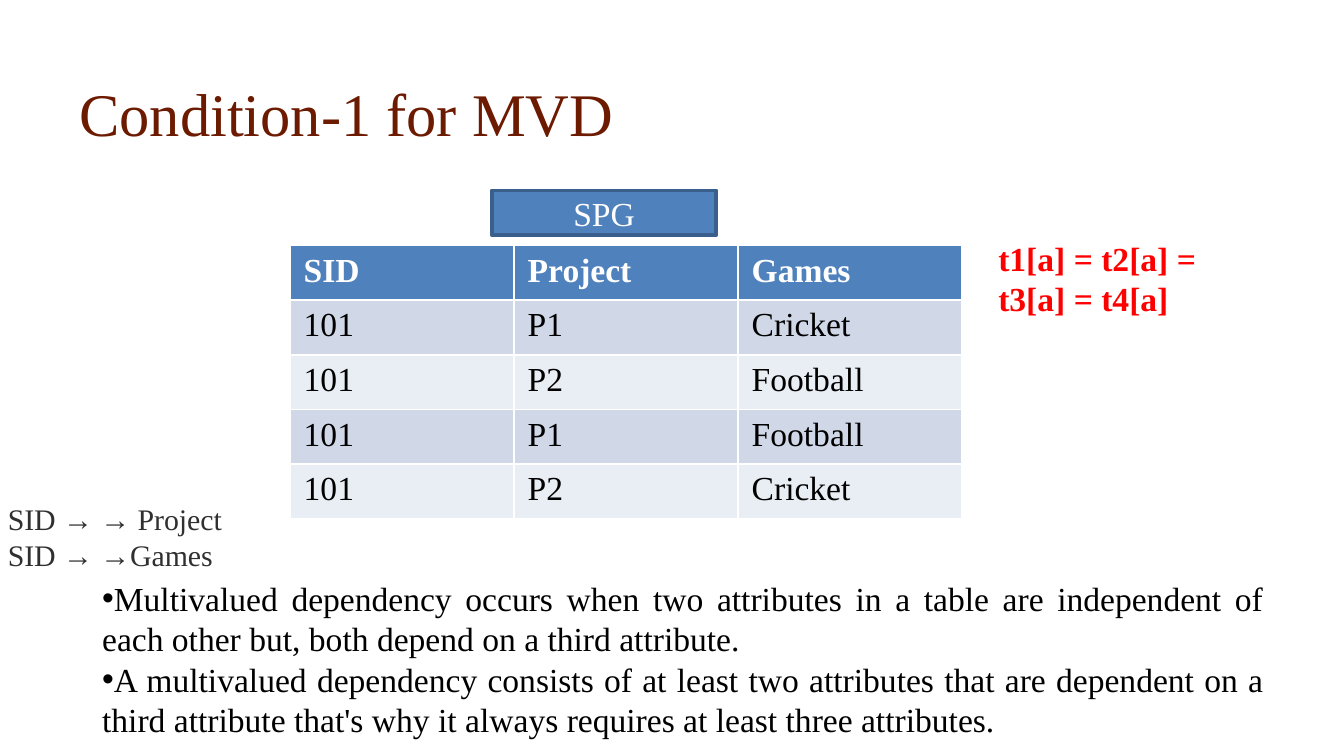
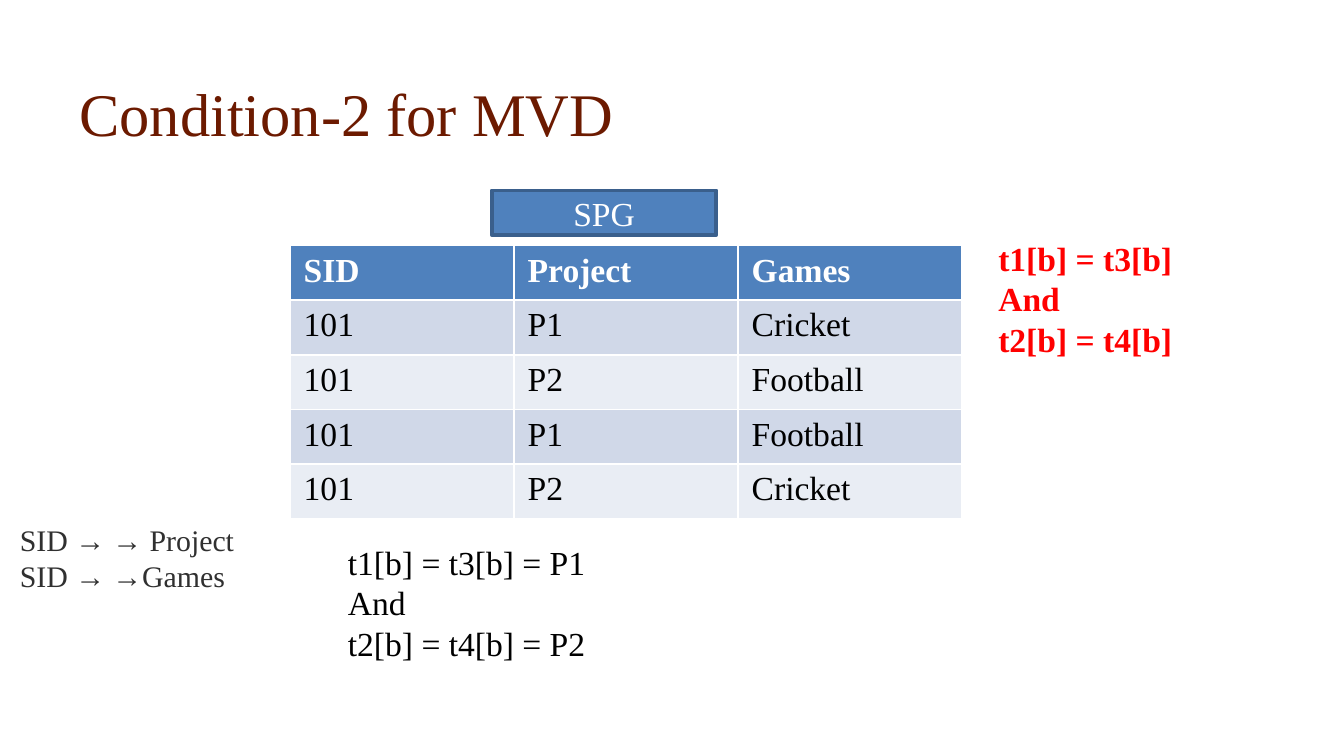
import pptx
import pptx.dml.color
import pptx.enum.shapes
import pptx.enum.text
import pptx.util

RGBColor = pptx.dml.color.RGBColor
ALIGN = pptx.enum.text.PP_ALIGN
ANCHOR = pptx.enum.text.MSO_ANCHOR
AUTO_SIZE = pptx.enum.text.MSO_AUTO_SIZE

# Shared look
FONT = "Times New Roman"
BROWN = RGBColor(0x6C, 0x1A, 0x00)
BLUE = RGBColor(0x4F, 0x81, 0xBD)
DARK_BLUE = RGBColor(0x3A, 0x5F, 0x8C)
BANDS = (RGBColor(0xD0, 0xD8, 0xE8), RGBColor(0xE9, 0xED, 0xF4))
RED = RGBColor(0xFF, 0x00, 0x00)
GREY = RGBColor(0x30, 0x30, 0x30)
BLACK = RGBColor(0x00, 0x00, 0x00)
WHITE = RGBColor(0xFF, 0xFF, 0xFF)

# Grid of 100 columns and 100 rows over a 16:9 slide
WIDTH = pptx.util.Inches(10)
HEIGHT = WIDTH * 9 // 16
COLUMN = WIDTH / 100
ROW = HEIGHT / 100

TITLE_LAYOUT, LIST_LAYOUT = 5, 1

SPG_ROWS = [
    ("SID", "Project", "Games"),
    ("101", "P1", "Cricket"),
    ("101", "P2", "Football"),
    ("101", "P1", "Football"),
    ("101", "P2", "Cricket"),
]
DEPENDENCIES = ["SID → → Project", "SID → →Games"]
MVD_NOTES = [
    "Multivalued dependency occurs when two attributes in a table are "
    "independent of each other but, both depend on a third attribute.",
    "A multivalued dependency consists of at least two attributes that are "
    "dependent on a third attribute that's why it always requires at least "
    "three attributes.",
]


def area(left, top, width, height):
    """Turn grid columns and rows into slide lengths."""
    return (int(left * COLUMN), int(top * ROW),
            int(width * COLUMN), int(height * ROW))


def move(placeholder, *cells):
    (placeholder.left, placeholder.top,
     placeholder.width, placeholder.height) = area(*cells)


def write(frame, lines, size, color, bold=False, align=ALIGN.LEFT):
    for index, line in enumerate(lines):
        paragraph = frame.add_paragraph() if index else frame.paragraphs[0]
        paragraph.alignment = align
        paragraph.space_before = pptx.util.Pt(0)
        run = paragraph.add_run()
        run.text = line
        run.font.name = FONT
        run.font.size = pptx.util.Pt(size)
        run.font.bold = bold
        run.font.color.rgb = color


def add_title(slide, text):
    title = slide.shapes.title
    move(title, 4.9, 2.5, 90.2, 16.7)
    frame = title.text_frame
    frame.auto_size = AUTO_SIZE.NONE
    frame.vertical_anchor = ANCHOR.TOP
    frame.margin_top = int(7.5 * ROW)
    frame.margin_bottom = 0
    write(frame, [text], 32.4, BROWN, align=ALIGN.JUSTIFY)


def add_text(slide, cells, lines, size, color, bold=False):
    frame = slide.shapes.add_textbox(*area(*cells)).text_frame
    frame.word_wrap = True
    frame.auto_size = AUTO_SIZE.SHAPE_TO_FIT_TEXT
    write(frame, lines, size, color, bold)


def add_notes_list(slide, notes):
    body = slide.placeholders[1]
    move(body, 6.6, 75.55, 88.5, 23.3)
    frame = body.text_frame
    frame.auto_size = AUTO_SIZE.NONE
    write(frame, notes, 18, BLACK, align=ALIGN.JUSTIFY)
    # Bullets sit directly against the text, with no hanging indent
    for paragraph in frame.paragraphs:
        properties = paragraph._p.get_or_add_pPr()
        properties.set("marL", "0")
        properties.set("indent", "0")


def add_relation(slide):
    # Rows of the relation
    table = slide.shapes.add_table(
        len(SPG_ROWS), len(SPG_ROWS[0]), *area(21.6, 32.5, 50, 36.1)).table
    for r, record in enumerate(SPG_ROWS):
        header = r == 0
        for c, value in enumerate(record):
            cell = table.cell(r, c)
            cell.fill.solid()
            cell.fill.fore_color.rgb = BLUE if header else BANDS[(r - 1) % 2]
            write(cell.text_frame, [value], 18,
                  WHITE if header else BLACK, bold=header)

    # Name of the relation
    label = slide.shapes.add_shape(
        pptx.enum.shapes.MSO_SHAPE.RECTANGLE, *area(36.6, 25.2, 16.7, 5.9))
    label.shadow.inherit = False
    label.fill.solid()
    label.fill.fore_color.rgb = BLUE
    label.line.color.rgb = DARK_BLUE
    label.line.width = pptx.util.Pt(2)
    label.text_frame.vertical_anchor = ANCHOR.MIDDLE
    write(label.text_frame, ["SPG"], 18, WHITE, align=ALIGN.CENTER)


def add_condition_slide(deck, layout, number, dependency_cells, condition):
    slide = deck.slides.add_slide(deck.slide_layouts[layout])
    add_title(slide, f"Condition-{number} for MVD")
    add_relation(slide)
    add_text(slide, dependency_cells, DEPENDENCIES, 16, GREY)
    add_text(slide, (73.3, 30.6, 20, 6 * len(condition)),
             condition, 18, RED, bold=True)
    return slide


def main():
    deck = pptx.Presentation()
    deck.slide_width, deck.slide_height = WIDTH, HEIGHT

    # Condition 1: equal SID in all tuples
    first = add_condition_slide(
        deck, LIST_LAYOUT, 1, (-0.4, 65.4, 19.4, 11.4),
        ["t1[a] = t2[a] = t3[a] = t4[a]"])
    add_notes_list(first, MVD_NOTES)

    # Condition 2: equal projects in pairs of tuples
    second = add_condition_slide(
        deck, TITLE_LAYOUT, 2, (0.5, 68.1, 19.4, 11.4),
        ["t1[b] = t3[b]", "And", "t2[b] = t4[b]"])
    add_text(second, (24.9, 70.8, 50.8, 18),
             ["t1[b] = t3[b] = P1", "And", "t2[b] = t4[b] = P2"], 18, BLACK)

    deck.save("out.pptx")


if __name__ == "__main__":
    main()
